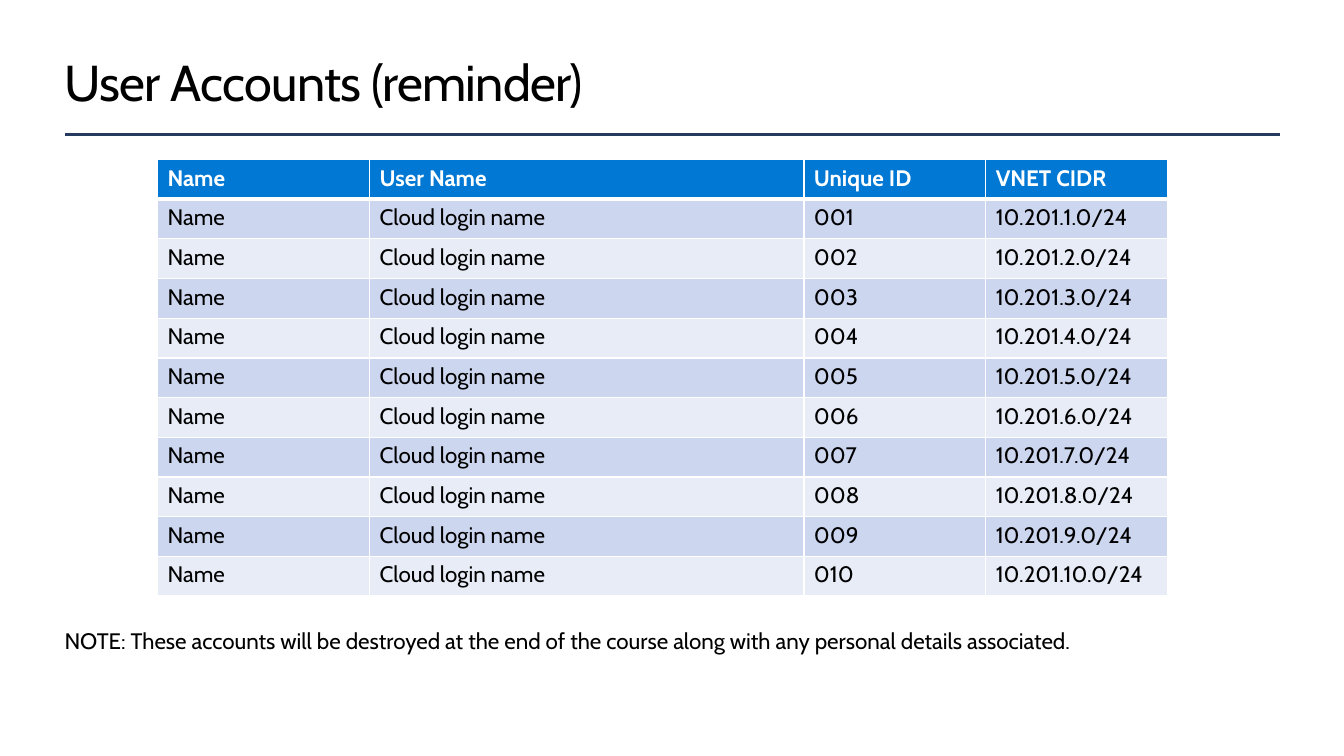
from collections import namedtuple
from dataclasses import dataclass

from lxml.etree import SubElement
from pptx import Presentation
from pptx.dml.color import RGBColor
from pptx.enum.shapes import MSO_CONNECTOR as Connector
from pptx.enum.text import MSO_ANCHOR as Anchor
from pptx.oxml.ns import qn
from pptx.util import Inches, Pt


@dataclass(frozen=True)
class Theme:
    font: str = "Cabin"
    title_size: float = 36
    body_size: float = 16
    ink: str = "000000"
    paper: str = "FFFFFF"
    rule: str = "243A5E"
    header: str = "0078D4"
    bands: tuple = ("CCD6EF", "E7ECF7")
    thin: float = 1
    medium: float = 2
    thick: float = 3


THEME = Theme()
WIDTH, HEIGHT = Inches(13.33), Inches(7.5)
Box = namedtuple("Box", "left top width height")

HEADINGS = ("Name", "User Name", "Unique ID", "VNET CIDR")
COLUMN_SHARES = (0.21, 0.43, 0.18, 0.18)
ACCOUNTS = [("Name", "Cloud login name", f"{number:03}", f"10.201.{number}.0/24")
            for number in range(1, 11)]


def grid(left, top, width, height):
    """A box on a grid of 100 columns by 100 rows."""
    return Box(round(left * WIDTH / 100), round(top * HEIGHT / 100),
               round(width * WIDTH / 100), round(height * HEIGHT / 100))


def write(frame, text, size=THEME.body_size, color=THEME.ink, bold=False, spacing=None):
    span = frame.paragraphs[0].add_run()
    span.text = text
    font = span.font
    font.name, font.size, font.bold = THEME.font, Pt(size), bold
    font.color.rgb = RGBColor.from_string(color)
    if spacing is not None:
        span._r.get_or_add_rPr().set("spc", str(round(spacing * 100)))


def add_text(page, box, text, anchor=Anchor.TOP, **text_format):
    frame = page.shapes.add_textbox(*box).text_frame
    frame.word_wrap = True
    frame.vertical_anchor = anchor
    frame.margin_left = frame.margin_right = frame.margin_top = frame.margin_bottom = 0
    write(frame, text, **text_format)


def add_rule(page, box):
    line = page.shapes.add_connector(Connector.STRAIGHT, box.left, box.top,
                                     box.left + box.width, box.top + box.height)
    line.line.color.rgb = RGBColor.from_string(THEME.rule)
    line.line.width = Pt(THEME.medium)
    SubElement(line._element.spPr, qn("a:effectLst"))


def set_borders(cell, top, bottom):
    properties = cell._tc.get_or_add_tcPr()
    widths = {"lnL": THEME.thin, "lnR": THEME.thin, "lnT": top, "lnB": bottom}
    for side, width in widths.items():
        border = SubElement(properties, qn(f"a:{side}"), w=str(Pt(width)))
        fill = SubElement(border, qn("a:solidFill"))
        SubElement(fill, qn("a:srgbClr"), val=THEME.paper)


def add_accounts_table(page, box):
    rows = [HEADINGS, *ACCOUNTS]
    table = page.shapes.add_table(len(rows), len(HEADINGS), *box).table
    for column, share in zip(table.columns, COLUMN_SHARES):
        column.width = round(box.width * share)
    for index, values in enumerate(rows):
        is_header = index == 0
        table.rows[index].height = round(box.height / len(rows))
        fill = THEME.header if is_header else THEME.bands[(index - 1) % 2]
        for cell, value in zip(table.rows[index].cells, values):
            # The heavy line under the header is shared with the first account
            set_borders(cell, top=THEME.thick if index == 1 else THEME.thin,
                        bottom=THEME.thick if is_header else THEME.thin)
            cell.fill.solid()
            cell.fill.fore_color.rgb = RGBColor.from_string(fill)
            write(cell.text_frame, value, bold=is_header,
                  color=THEME.paper if is_header else THEME.ink)


def build_accounts_page(deck):
    page = deck.slides.add_slide(deck.slide_layouts[6])
    margin, span = 4.8, 90.45
    # Heading and its rule
    add_rule(page, grid(margin, 17.75, span, 0))
    add_text(page, grid(margin, 6.67, span, 8.13), "User Accounts (reminder)",
             anchor=Anchor.MIDDLE, size=THEME.title_size, spacing=-0.5)
    # Closing note
    add_text(page, grid(margin, 82.93, span, 3.6),
             "NOTE: These accounts will be destroyed at the end of the course "
             "along with any personal details associated.")
    # Accounts
    add_accounts_table(page, grid(11.72, 21.1, 75.15, 57.8))


def main():
    deck = Presentation()
    deck.slide_width, deck.slide_height = WIDTH, HEIGHT
    build_accounts_page(deck)
    deck.save("out.pptx")


if __name__ == "__main__":
    main()
